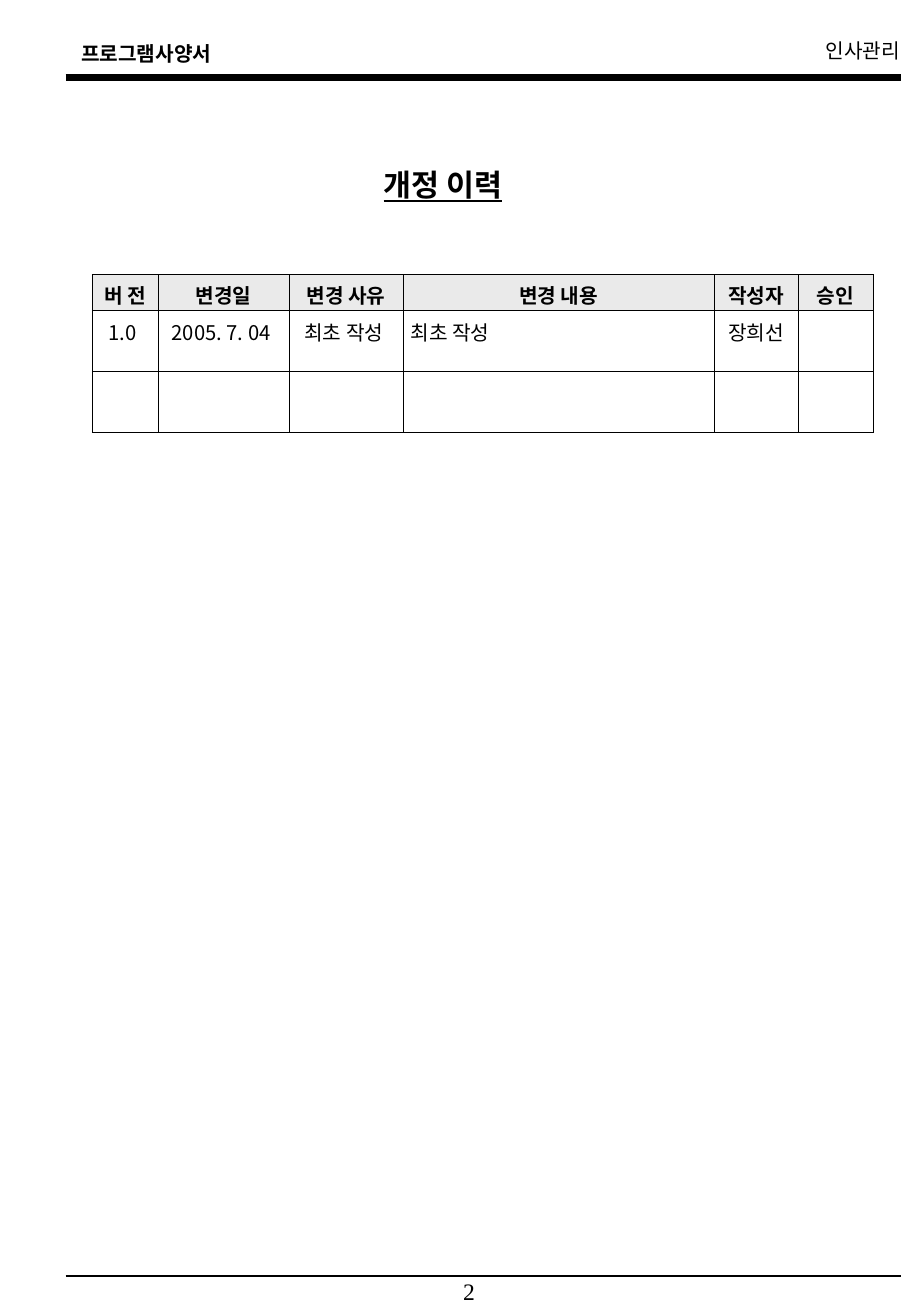
from itertools import product

from lxml.etree import SubElement as Sub
from pptx import Presentation
from pptx.dml.color import RGBColor as Rgb
from pptx.enum.shapes import MSO_CONNECTOR as Link
from pptx.enum.text import MSO_ANCHOR as Anchor, PP_ALIGN as Align
from pptx.oxml import parse_xml
from pptx.oxml.ns import nsdecls, qn
from pptx.util import Inches, Pt

COLS, ROWS = 75, 108.4
INK = {"text": "000000", "head": "EAEAEA"}
SANS, SERIF = "Noto Sans CJK KR", "Times New Roman"
HEAD = ["버 전", "변경일", "변경 사유", "변경 내용", "작성자", "승인"]
FIRST = ["1.0 ", "2005. 7. 04 ", "최초 작성 ", "최초 작성", "장희선", ""]
LOG = [HEAD, FIRST, [""] * len(HEAD)]
WIDE = [5.4, 10.8, 9.4, 25.6, 6.9, 6.2]
HIGH = [3, 5, 5]


def unit(n):
    """Length of n grid steps; columns and rows are both a tenth of an inch."""
    return Inches(n / 10)


class Page:
    def __init__(self):
        self.deck = Presentation()
        self.deck.slide_width, self.deck.slide_height = unit(COLS), unit(ROWS)
        self.slide = self.deck.slides.add_slide(self.deck.slide_layouts[6])
        self.base = {"size": Pt(12), "name": SANS, "bold": False}

    def fill_in(self, para, text, align=Align.LEFT, **style):
        para.alignment = align
        run = para.add_run()
        run.text = text
        for key, val in {**self.base, **style}.items():
            setattr(run.font, key, val)
        run.font.color.rgb = Rgb.from_string(INK["text"])
        Sub(run.font._element, qn("a:ea"), typeface=run.font.name)

    def label(self, text, box, wrap=True, **style):
        shape = self.slide.shapes.add_textbox(*map(unit, box))
        shape.text_frame.word_wrap = wrap
        self.fill_in(shape.text_frame.paragraphs[0], text, **style)

    def rule(self, y, width, left=5.4, right=74.2):
        line = self.slide.shapes.add_connector(
            Link.STRAIGHT, unit(left), unit(y), unit(right), unit(y))
        line.line.width = Pt(width)
        line.line.color.rgb = Rgb.from_string(INK["text"])
        Sub(line._element.spPr, qn("a:effectLst"))

    def edge(self, cell, width=0.45):
        """Draw all four borders of a cell."""
        for i, side in enumerate("LRTB"):
            cell._tc.get_or_add_tcPr().insert(i, parse_xml(
                f'<a:ln{side} {nsdecls("a")} w="{Pt(width)}"><a:solidFill>'
                f'<a:srgbClr val="{INK["text"]}"/></a:solidFill></a:ln{side}>'))

    def table(self, data, left, top, wide, high):
        grid = self.slide.shapes.add_table(
            len(high), len(wide), unit(left), unit(top),
            unit(sum(wide)), unit(sum(high))).table
        grid.horz_banding = grid.first_row = False
        for col, size in zip(grid.columns, wide):
            col.width = unit(size)
        for row, size in zip(grid.rows, high):
            row.height = unit(size)
        form = {"margin_left": unit(0.6), "margin_right": unit(0.6),
                "margin_top": unit(0.5), "margin_bottom": 0,
                "vertical_anchor": Anchor.TOP}
        for r, c in product(range(len(high)), range(len(wide))):
            cell = grid.cell(r, c)
            for key, val in form.items():
                setattr(cell, key, val)
            if r == 0:
                cell.fill.solid()
                cell.fill.fore_color.rgb = Rgb.from_string(INK["head"])
            else:
                cell.fill.background()
            self.edge(cell)
            if data[r][c]:
                side = Align.LEFT if r and c == 3 else Align.CENTER
                self.fill_in(cell.text_frame.paragraphs[0], data[r][c],
                             side, bold=r == 0)


def main():
    page = Page()
    page.label("프로그램사양서", (5.7, 2.9, 12.7, 3.4), wrap=False, bold=True)
    page.label("인사관리", (67, 2.7, 8.1, 3.4), wrap=False, align=Align.RIGHT)
    page.rule(6.4, 4.5)
    page.rule(105.1, 1)
    page.label("개정 이력", (30.6, 13.2, 21, 4),
               size=Pt(18), bold=True, underline=True)
    page.table(LOG, 7.6, 22.6, WIDE, HIGH)
    page.label("2", (35.1, 104.7, 5, 3.7), align=Align.RIGHT,
               size=Pt(14), name=SERIF)
    page.deck.save("out.pptx")


if __name__ == "__main__":
    main()
